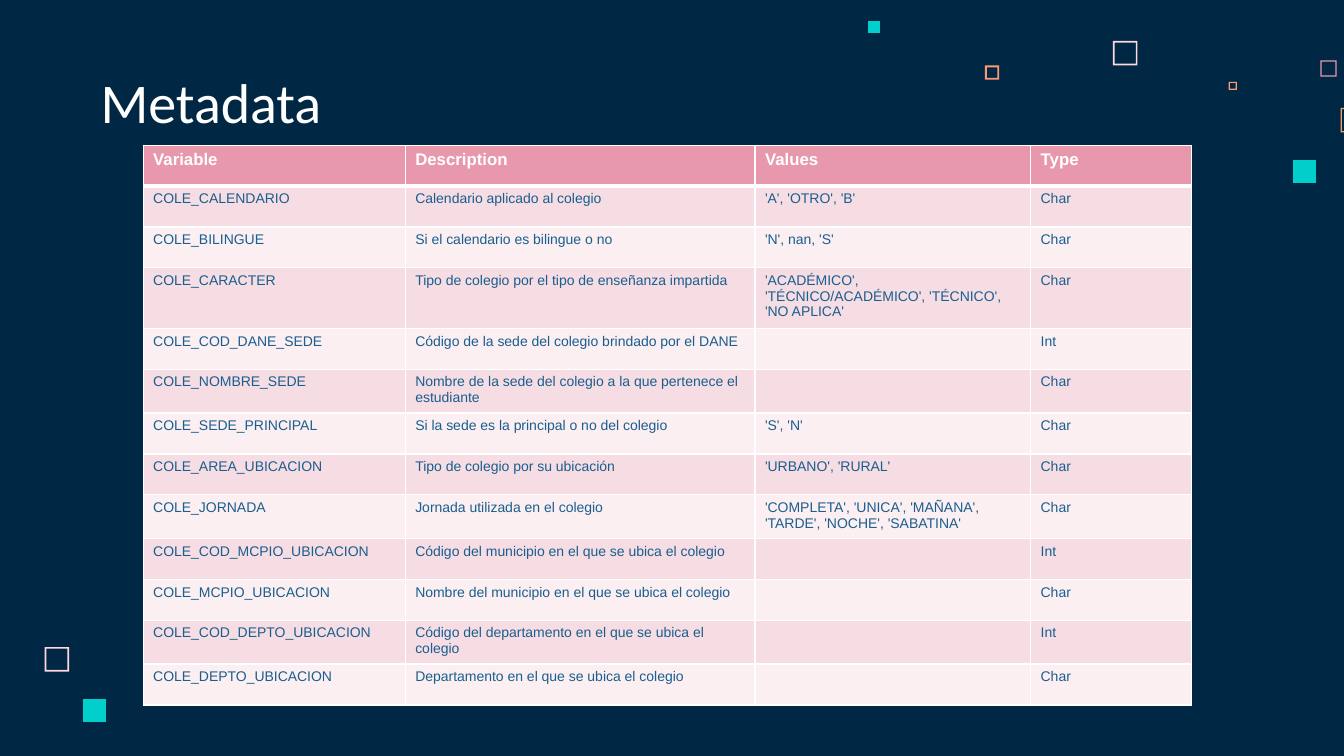
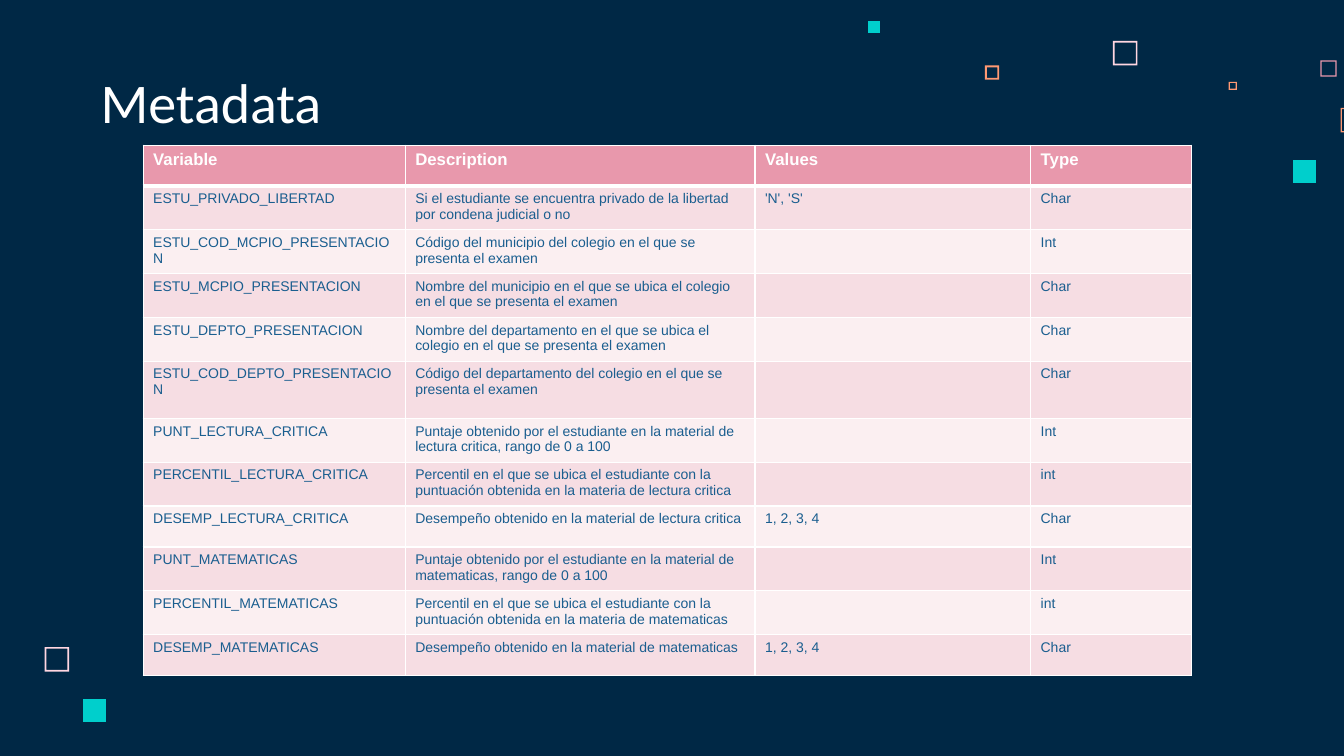
"""Build two metadata slides, each with a table of variables on a dark page."""
from typing import NamedTuple

from lxml.etree import SubElement
from pptx import Presentation
from pptx.dml.color import RGBColor
from pptx.enum.text import MSO_ANCHOR as Anchor
from pptx.oxml.ns import qn
from pptx.slide import Slide
from pptx.table import _Cell as Cell
from pptx.text.text import TextFrame
from pptx.util import Pt

NAVY = RGBColor(0x00, 0x28, 0x45)
WHITE = RGBColor(0xFF, 0xFF, 0xFF)
BLUE = RGBColor(0x1A, 0x5E, 0x8F)
TEAL = RGBColor(0x00, 0xCF, 0xCC)
ORANGE = RGBColor(0xFF, 0x99, 0x73)
BLUSH = RGBColor(0xFF, 0xD6, 0xE1)
PINK = RGBColor(0xE8, 0x98, 0xAC)
BANDS = (RGBColor(0xF6, 0xDD, 0xE3), RGBColor(0xFB, 0xEF, 0xF1))

TITLE_FONT = "Calibri"
TABLE_FONT = "Arial"
TABLE_LEFT, TABLE_TOP = 102.25, 103.68
ROW_HEIGHT = 29.2
COLUMN_WIDTHS = (187.2, 249.84, 196.9, 114.9)
HEADINGS = ("Variable", "Description", "Values", "Type")
THIN, THICK = 1, 3


class Square(NamedTuple):
    """A decorative square, hollow when its rim is above zero."""
    left: float
    top: float
    size: float
    color: RGBColor
    rim: float = 0


class Variable(NamedTuple):
    """One described variable; a height of zero means the usual row."""
    name: str
    description: str
    kind: str
    values: str = ""
    height: float = ROW_HEIGHT


SQUARES = (
    Square(795, 29.2, 17.5, BLUSH, 1.2),
    Square(943.2, 43.2, 11.5, PINK, 0.9),
    Square(877.6, 58.4, 5.8, ORANGE, 0.9),
    Square(957.6, 77, 17.5, ORANGE, 0.9),
    Square(923.6, 114.4, 16.5, TEAL),
    Square(703.6, 46.8, 10.1, ORANGE, 1.3),
    Square(620, 15, 8.6, TEAL),
    Square(31.9, 462.2, 17.5, BLUSH, 1.2),
    Square(59.2, 499.2, 16.5, TEAL),
)

SCHOOL = (
    Variable("COLE_CALENDARIO", "Calendario aplicado al colegio", "Char", "'A', 'OTRO', 'B'"),
    Variable("COLE_BILINGUE", "Si el calendario es bilingue o no", "Char", "'N', nan, 'S'"),
    Variable("COLE_CARACTER", "Tipo de colegio por el tipo de enseñanza impartida", "Char",
             "'ACADÉMICO', 'TÉCNICO/ACADÉMICO', 'TÉCNICO', 'NO APLICA'"),
    Variable("COLE_COD_DANE_SEDE", "Código de la sede del colegio brindado por el DANE", "Int"),
    Variable("COLE_NOMBRE_SEDE",
             "Nombre de la sede del colegio a la que pertenece el estudiante", "Char"),
    Variable("COLE_SEDE_PRINCIPAL", "Si la sede es la principal o no del colegio", "Char",
             "'S', 'N'"),
    Variable("COLE_AREA_UBICACION", "Tipo de colegio por su ubicación", "Char",
             "'URBANO', 'RURAL'"),
    Variable("COLE_JORNADA", "Jornada utilizada en el colegio", "Char",
             "'COMPLETA', 'UNICA', 'MAÑANA', 'TARDE', 'NOCHE', 'SABATINA'"),
    Variable("COLE_COD_MCPIO_UBICACION",
             "Código del municipio en el que se ubica el colegio", "Int"),
    Variable("COLE_MCPIO_UBICACION",
             "Nombre del municipio en el que se ubica el colegio", "Char"),
    Variable("COLE_COD_DEPTO_UBICACION",
             "Código del departamento en el que se ubica el colegio", "Int"),
    Variable("COLE_DEPTO_UBICACION", "Departamento en el que se ubica el colegio", "Char"),
)

STUDENT = (
    Variable("ESTU_PRIVADO_LIBERTAD",
             "Si el estudiante se encuentra privado de la libertad por condena judicial o no",
             "Char", "'N', 'S'"),
    Variable("ESTU_COD_MCPIO_PRESENTACION",
             "Código del municipio del colegio en el que se presenta el examen", "Int"),
    Variable("ESTU_MCPIO_PRESENTACION",
             "Nombre del municipio en el que se ubica el colegio en el que se presenta el examen",
             "Char"),
    Variable("ESTU_DEPTO_PRESENTACION",
             "Nombre del departamento en el que se ubica el colegio en el que se presenta "
             "el examen", "Char"),
    Variable("ESTU_COD_DEPTO_PRESENTACION",
             "Código del departamento del colegio en el que se presenta el examen", "Char",
             height=41),
    Variable("PUNT_LECTURA_CRITICA",
             "Puntaje obtenido por el estudiante en la material de lectura critica, "
             "rango de 0 a 100", "Int"),
    Variable("PERCENTIL_LECTURA_CRITICA",
             "Percentil en el que se ubica el estudiante con la puntuación obtenida "
             "en la materia de lectura critica", "int"),
    Variable("DESEMP_LECTURA_CRITICA", "Desempeño obtenido en la material de lectura critica",
             "Char", "1, 2, 3, 4"),
    Variable("PUNT_MATEMATICAS",
             "Puntaje obtenido por el estudiante en la material de matematicas, "
             "rango de 0 a 100", "Int"),
    Variable("PERCENTIL_MATEMATICAS",
             "Percentil en el que se ubica el estudiante con la puntuación obtenida "
             "en la materia de matematicas", "int"),
    Variable("DESEMP_MATEMATICAS", "Desempeño obtenido en la material de matematicas",
             "Char", "1, 2, 3, 4"),
)


def write(frame: TextFrame, text: str, font: str, size: float, color: RGBColor,
          bold: bool = False) -> None:
    """Add one formatted run to the first paragraph."""
    span = frame.paragraphs[0].add_run()
    span.text = text
    span.font.name = font
    span.font.size = Pt(size)
    span.font.bold = bold
    span.font.color.rgb = color


def draw_square(page: Slide, square: Square) -> None:
    """Draw a filled square, or a frame with an opening wound the other way."""
    left, top = square.left, square.top
    right, bottom = left + square.size, top + square.size
    builder = page.shapes.build_freeform(Pt(left), Pt(top))
    outline = ((left, bottom), (right, bottom), (right, top))
    builder.add_line_segments([(Pt(x), Pt(y)) for x, y in outline])
    if square.rim:
        left, top = left + square.rim, top + square.rim
        right, bottom = right - square.rim, bottom - square.rim
        builder.move_to(Pt(left), Pt(top))
        opening = ((right, top), (right, bottom), (left, bottom))
        builder.add_line_segments([(Pt(x), Pt(y)) for x, y in opening])
    shape = builder.convert_to_shape()
    shape.shadow.inherit = False
    shape.fill.solid()
    shape.fill.fore_color.rgb = square.color
    shape.line.fill.background()


def draw_title(page: Slide, text: str) -> None:
    """Place the page title."""
    box = page.shapes.add_textbox(Pt(64.8), Pt(43.2), Pt(496), Pt(60.48))
    frame = box.text_frame
    frame.word_wrap = True
    frame.vertical_anchor = Anchor.BOTTOM
    frame.margin_left = frame.margin_right = Pt(7.2)
    frame.margin_top = frame.margin_bottom = Pt(7.2)
    write(frame, text, TITLE_FONT, 40, WHITE)


def style_cell(cell: Cell, fill: RGBColor, top: float, bottom: float) -> None:
    """Give a cell white borders and a plain fill."""
    properties = cell._tc.get_or_add_tcPr()
    for side, width in (("L", THIN), ("R", THIN), ("T", top), ("B", bottom)):
        line = SubElement(properties, qn(f"a:ln{side}"), w=str(Pt(width)))
        paint = SubElement(line, qn("a:solidFill"))
        SubElement(paint, qn("a:srgbClr"), val=str(WHITE))
    cell.fill.solid()
    cell.fill.fore_color.rgb = fill


def draw_table(page: Slide, variables: tuple[Variable, ...]) -> None:
    """Draw the header and one banded row per variable."""
    heights = [ROW_HEIGHT, *(variable.height for variable in variables)]
    table = page.shapes.add_table(
        len(heights), len(HEADINGS), Pt(TABLE_LEFT), Pt(TABLE_TOP),
        Pt(sum(COLUMN_WIDTHS)), Pt(sum(heights))).table
    for column, width in zip(table.columns, COLUMN_WIDTHS):
        column.width = Pt(width)
    for row, height in zip(table.rows, heights):
        row.height = Pt(height)
    for cell, heading in zip(table.rows[0].cells, HEADINGS):
        style_cell(cell, PINK, THIN, THICK)
        write(cell.text_frame, heading, TABLE_FONT, 12, WHITE, True)
    for index, variable in enumerate(variables):
        texts = (variable.name, variable.description, variable.values, variable.kind)
        for cell, text in zip(table.rows[index + 1].cells, texts):
            style_cell(cell, BANDS[index % 2], THIN if index else THICK, THIN)
            if text:
                write(cell.text_frame, text, TABLE_FONT, 10, BLUE)


def main() -> None:
    """Build and save the deck."""
    deck = Presentation()
    deck.slide_width, deck.slide_height = Pt(960), Pt(540)
    background = deck.slide_master.background.fill
    background.solid()
    background.fore_color.rgb = NAVY
    for variables in (SCHOOL, STUDENT):
        page = deck.slides.add_slide(deck.slide_layouts[6])
        for square in SQUARES:
            draw_square(page, square)
        draw_title(page, "Metadata")
        draw_table(page, variables)
    deck.save("out.pptx")


main()
